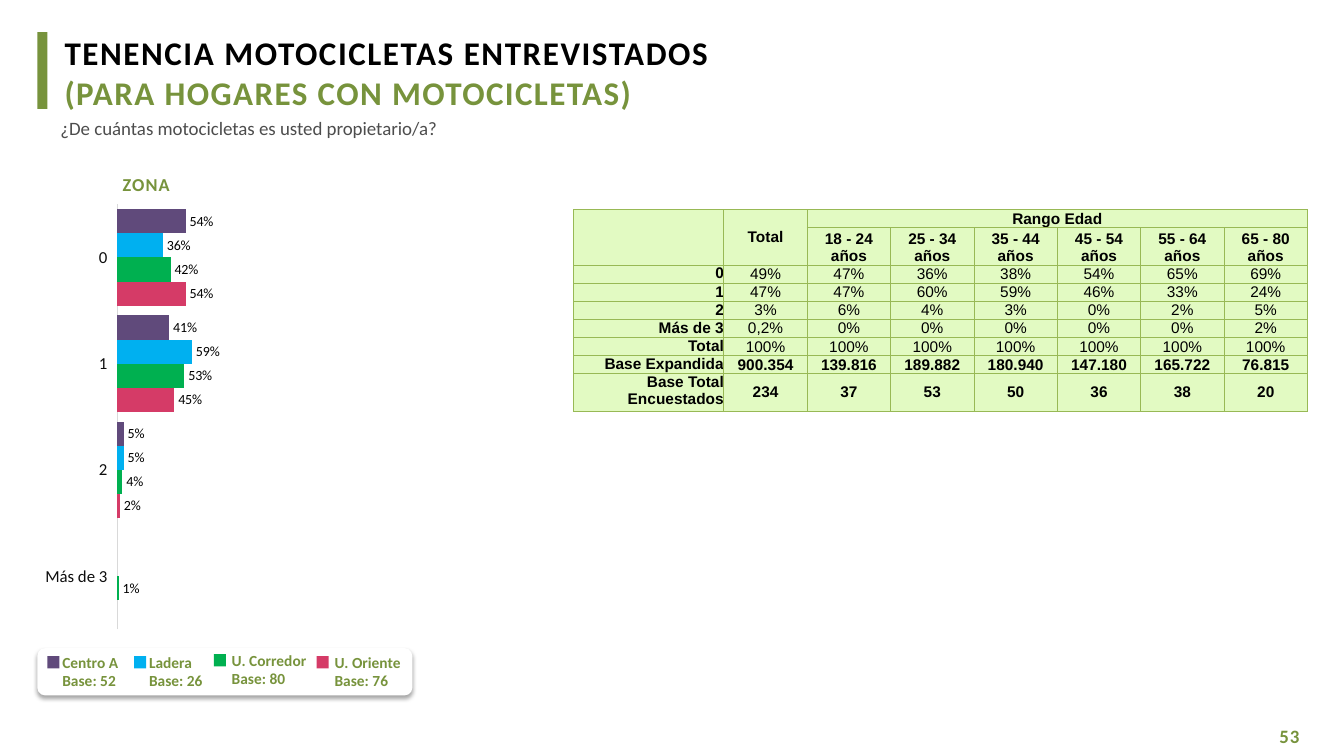
from dataclasses import dataclass

from lxml import etree
from pptx import Presentation
from pptx.chart.data import CategoryChartData
from pptx.dml.color import RGBColor
from pptx.enum.chart import XL_CHART_TYPE, XL_LABEL_POSITION, XL_TICK_LABEL_POSITION, XL_TICK_MARK
from pptx.enum.shapes import MSO_SHAPE
from pptx.enum.text import MSO_ANCHOR, MSO_AUTO_SIZE, PP_ALIGN
from pptx.oxml import parse_xml
from pptx.oxml.ns import nsdecls, qn
from pptx.util import Inches, Pt

RECTANGLE, ROUNDED = MSO_SHAPE.RECTANGLE, MSO_SHAPE.ROUNDED_RECTANGLE
LEFT, CENTER, RIGHT = PP_ALIGN.LEFT, PP_ALIGN.CENTER, PP_ALIGN.RIGHT
TOP, MIDDLE, BOTTOM = MSO_ANCHOR.TOP, MSO_ANCHOR.MIDDLE, MSO_ANCHOR.BOTTOM
OUTSIDE_END = XL_LABEL_POSITION.OUTSIDE_END
NO_TICK, LOW = XL_TICK_MARK.NONE, XL_TICK_LABEL_POSITION.LOW

GREEN = RGBColor(0x77, 0x93, 0x3C)
BLACK = RGBColor(0, 0, 0)
NEAR_BLACK = RGBColor(0x0D, 0x0D, 0x0D)
GRAY = RGBColor(0x4D, 0x4D, 0x4D)
AXIS_GRAY = RGBColor(0xD9, 0xD9, 0xD9)
WHITE = RGBColor(0xFF, 0xFF, 0xFF)
CELL_GREEN = RGBColor(0xE2, 0xFA, 0xC2)
BORDER_GREEN = RGBColor(0x98, 0xB9, 0x55)
PURPLE = RGBColor(0x60, 0x4A, 0x7B)
BLUE = RGBColor(0x00, 0xB0, 0xF0)
EMERALD = RGBColor(0x00, 0xB0, 0x50)
PINK = RGBColor(0xD5, 0x3B, 0x67)

PERCENT = "###0%"


@dataclass
class Zone:
    name: str
    base: int
    color: RGBColor
    shares: tuple
    marker_left: float
    label_left: float
    label_width: float
    top: float = 6.43


@dataclass
class Line:
    text: str
    size: float
    color: RGBColor
    bold: bool = False
    spacing: float = 0


ZONES = [
    Zone("Centro A", 52, PURPLE, (0.54, 0.41, 0.05, None), 0.47, 0.52, 0.76),
    Zone("Ladera", 26, BLUE, (0.36, 0.59, 0.05, None), 1.33, 1.38, 0.74),
    Zone("U. Corredor", 80, EMERALD, (0.42, 0.53, 0.04, 0.01), 2.12, 2.2, 0.95, 6.41),
    Zone("U. Oriente", 76, PINK, (0.54, 0.45, 0.02, None), 3.14, 3.22, 0.87),
]
CATEGORIES = ["0", "1", "2", "Más de 3"]
AGES = ["18 - 24", "25 - 34", "35 - 44", "45 - 54", "55 - 64", "65 - 80"]
TABLE_ROWS = [
    ["", "Total", "Rango Edad", "", "", "", "", ""],
    ["", "", *(f"{age} años" for age in AGES)],
    ["0", "49%", "47%", "36%", "38%", "54%", "65%", "69%"],
    ["1", "47%", "47%", "60%", "59%", "46%", "33%", "24%"],
    ["2", "3%", "6%", "4%", "3%", "0%", "2%", "5%"],
    ["Más de 3", "0,2%", "0%", "0%", "0%", "0%", "0%", "2%"],
    ["Total"] + ["100%"] * 7,
    ["Base Expandida", "900.354", "139.816", "189.882", "180.940", "147.180", "165.722", "76.815"],
    ["Base Total Encuestados", "234", "37", "53", "50", "36", "38", "20"],
]
HEADER_ROWS, FIRST_BASE_ROW = 2, 7
TWO_LINE_ROWS = (1, 8)


def set_font(font, size: float, color: RGBColor, bold: bool = False, name: str = "Calibri") -> None:
    for attribute, value in {"size": Pt(size), "bold": bold, "name": name}.items():
        setattr(font, attribute, value)
    font.color.rgb = color


def write_lines(shape, lines: list[Line], align=LEFT, wrap: bool = True,
                margins: tuple = (0, 0.01, 0, 0), space: float = 0) -> None:
    frame = shape.text_frame
    frame.text = "\n".join(line.text for line in lines)
    formats = {"word_wrap": wrap, "auto_size": MSO_AUTO_SIZE.NONE, "vertical_anchor": TOP}
    for side, margin in zip(("left", "top", "right", "bottom"), margins):
        formats[f"margin_{side}"] = Inches(margin)
    for attribute, value in formats.items():
        setattr(frame, attribute, value)
    for index, (paragraph, line) in enumerate(zip(frame.paragraphs, lines)):
        paragraph.alignment = align
        paragraph.space_before = Pt(space if index else 0)
        run = paragraph.runs[0]
        set_font(run.font, line.size, line.color, line.bold)
        if line.spacing:
            run.font._element.set("spc", str(round(line.spacing * 100)))


def add_box(shapes, kind, box: tuple, color: RGBColor):
    shape = shapes.add_shape(kind, *map(Inches, box))
    shape.shadow.inherit = False
    shape.fill.solid()
    shape.fill.fore_color.rgb = color
    shape.line.fill.background()
    return shape


def add_text(shapes, box: tuple, lines: list[Line], **options) -> None:
    write_lines(shapes.add_textbox(*map(Inches, box)), lines, **options)


def add_legend(slide) -> None:
    shapes = slide.shapes.add_group_shape().shapes
    card = add_box(shapes, ROUNDED, (0.37, 6.43, 3.72, 0.47), WHITE)
    effects = card._element.spPr.find(qn("a:effectLst"))
    effects.append(parse_xml(
        f'<a:outerShdw {nsdecls("a")} blurRad="{Pt(3.1)}" dist="{Pt(1.8)}" dir="5400000">'
        '<a:srgbClr val="000000"><a:alpha val="35000"/></a:srgbClr></a:outerShdw>'))
    for zone in ZONES:
        add_box(shapes, RECTANGLE, (zone.marker_left, zone.top + 0.08, 0.12, 0.12), zone.color)
        lines = [Line(text, 11, GREEN, True) for text in (zone.name, f"Base: {zone.base}")]
        add_text(shapes, (zone.label_left, zone.top, zone.label_width, 0.47), lines,
                 wrap=False, margins=(0.1, 0.05, 0.1, 0.05))


def add_zone_chart(slide) -> None:
    data = CategoryChartData(number_format=PERCENT)
    data.categories = CATEGORIES
    for zone in ZONES:
        data.add_series(zone.name, zone.shares)
    box = map(Inches, (-0.89, 1.86, 3.37, 4.53))
    chart = slide.shapes.add_chart(XL_CHART_TYPE.BAR_CLUSTERED, *box, data).chart
    chart.has_legend = chart.has_title = False
    set_font(chart.font, 10, BLACK)

    plot = chart.plots[0]
    plot.gap_width, plot.overlap, plot.vary_by_categories = 40, 0, False
    for series, zone in zip(plot.series, ZONES):
        series.format.fill.solid()
        series.format.fill.fore_color.rgb = zone.color
        labels = series.data_labels
        for attribute, value in {"show_value": True, "position": OUTSIDE_END,
                                 "number_format": PERCENT,
                                 "number_format_is_linked": False}.items():
            setattr(labels, attribute, value)
        set_font(labels.font, 10, BLACK)

    axis = chart.category_axis
    for attribute, value in {"reverse_order": True, "major_tick_mark": NO_TICK,
                             "minor_tick_mark": NO_TICK, "tick_label_position": LOW,
                             "has_major_gridlines": False}.items():
        setattr(axis, attribute, value)
    axis.format.line.color.rgb = AXIS_GRAY
    axis.format.line.width = Pt(0.75)
    set_font(axis.tick_labels.font, 12, NEAR_BLACK)
    for attribute, value in {"minimum_scale": 0, "maximum_scale": 1, "visible": False,
                             "has_major_gridlines": False}.items():
        setattr(chart.value_axis, attribute, value)

    plot_area = chart._chartSpace.chart.plotArea
    for layout in plot_area.findall(qn("c:layout")):
        plot_area.remove(layout)
    layout = etree.Element(qn("c:layout"))
    manual = etree.SubElement(layout, qn("c:manualLayout"))
    for tag, value in {"layoutTarget": "inner", "xMode": "edge", "yMode": "edge", "x": "0.61",
                       "y": "0.037", "w": "0.372", "h": "0.931"}.items():
        etree.SubElement(manual, qn(f"c:{tag}")).set("val", value)
    plot_area.insert(0, layout)


def format_cell(cell, row: int, column: int) -> None:
    properties = cell._tc.get_or_add_tcPr()
    for side in ("lnL", "lnR", "lnT", "lnB"):
        border = etree.SubElement(properties, qn(f"a:{side}"), w=str(Pt(0.75)))
        fill = etree.SubElement(border, qn("a:solidFill"))
        etree.SubElement(fill, qn("a:srgbClr"), val=str(BORDER_GREEN))
    cell.fill.solid()
    cell.fill.fore_color.rgb = CELL_GREEN
    cell.margin_left = cell.margin_top = cell.margin_right = cell.margin_bottom = 0
    if row < HEADER_ROWS:
        cell.vertical_anchor = MIDDLE if column == 1 else BOTTOM
    else:
        cell.vertical_anchor = MIDDLE if column else TOP
    paragraph = cell.text_frame.paragraphs[0]
    paragraph.alignment = RIGHT if column == 0 else CENTER
    bold = row < HEADER_ROWS or row >= FIRST_BASE_ROW or column == 0
    set_font(paragraph.font, 11, BLACK, bold, "Arial")


def add_age_table(slide) -> None:
    row_count, column_count = len(TABLE_ROWS), len(TABLE_ROWS[0])
    box = map(Inches, (5.69, 2.08, 7.28, 2.03))
    table = slide.shapes.add_table(row_count, column_count, *box).table
    table.first_row = table.horz_banding = False
    for index, column in enumerate(table.columns):
        column.width = Inches((7.28 - 1.49) / (column_count - 1) if index else 1.49)
    for row, texts in enumerate(TABLE_ROWS):
        table.rows[row].height = Inches(0.37 if row in TWO_LINE_ROWS else 0.18)
        for column, text in enumerate(texts):
            cell = table.cell(row, column)
            cell.text = text
            format_cell(cell, row, column)
    for start, end in (((0, 0), (1, 0)), ((0, 1), (1, 1)), ((0, 2), (0, 7))):
        table.cell(*start).merge(table.cell(*end))


def main() -> None:
    presentation = Presentation()
    presentation.slide_width, presentation.slide_height = Inches(13.33), Inches(7.5)
    slide = presentation.slides.add_slide(presentation.slide_layouts[5])
    shapes = slide.shapes

    title = shapes.title
    title.left, title.top, title.width, title.height = map(Inches, (0.64, 0.31, 7.45, 0.82))
    write_lines(title, [Line("TENENCIA MOTOCICLETAS ENTREVISTADOS", 23.6, BLACK, True, 1.1),
                        Line("(PARA HOGARES CON MOTOCICLETAS)", 23.6, GREEN, True, 1)], space=0.7)
    add_box(shapes, RECTANGLE, (0.37, 0.32, 0.1, 0.76), GREEN)
    add_text(shapes, (0.6, 1.15, 9.93, 0.24),
             [Line("¿De cuántas motocicletas es usted propietario/a?", 13.5, GRAY)])
    add_text(shapes, (0.27, 1.71, 2.36, 0.23), [Line("ZONA", 13, GREEN, True, 0.8)], align=CENTER)
    add_zone_chart(slide)
    add_legend(slide)
    add_age_table(slide)
    add_text(shapes, (12.63, 7.17, 0.49, 0.24), [Line("53", 13.5, GREEN, True, 0.6)],
             margins=(0.06, 0.02, 0, 0))
    presentation.save("out.pptx")


if __name__ == "__main__":
    main()
